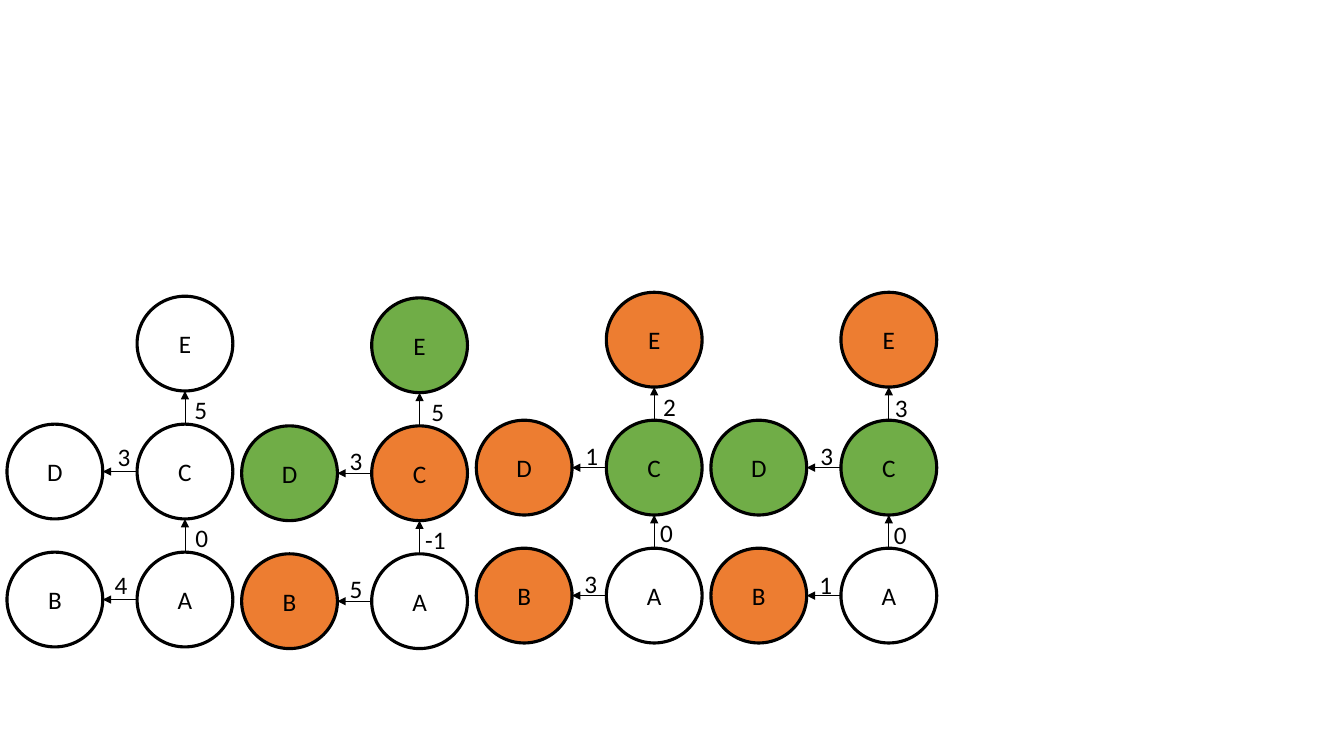
import pptx
import pptx.util
import pptx.dml.color
import pptx.enum.shapes
import pptx.enum.text
import pptx.oxml
import pptx.oxml.ns

Pt = pptx.util.Pt

COLORS = {"white": "FFFFFF", "black": "000000", "green": "70AD47", "orange": "ED7D31"}

# Grid: node sizes and steps in points
NODE_W, NODE_H = 68.4, 67.7
COL_STEP, ROW_STEP = 92.9, 91.4
TREE_LEFT, TREE_STEP = 5, 167.6
CELLS = {"E": (1, 0), "D": (0, 1), "C": (1, 1), "A": (1, 2), "B": (0, 2)}  # column, row
EDGES = ["CE", "AC", "AB", "CD"]

# Each tree: top, node fills (white if not named), edge labels as (text, left, top)
TREES = [
    (211.6, {},
     {"AC": ("0", 132.5, 369.4), "CE": ("5", 131.8, 277.9),
      "CD": ("3", 77, 311.8), "AB": ("4", 74.9, 403.2)}),
    (212.8, {"E": "green", "D": "green", "C": "orange", "B": "orange"},
     {"AC": ("-1", 296.6, 370.8), "CE": ("5", 301, 279.4),
      "CD": ("3", 242.6, 314.6), "AB": ("5", 242.6, 406.1)}),
    (208.8, {"E": "orange", "D": "orange", "C": "green", "B": "orange"},
     {"AC": ("0", 464.4, 365.8), "CE": ("2", 466.6, 275.8),
      "CD": ("1", 411.1, 311), "AB": ("3", 410.4, 402.5)}),
    (208.8, {"E": "orange", "D": "green", "C": "green", "B": "orange"},
     {"AC": ("0", 631.4, 367.2), "CE": ("3", 632.2, 276.5),
      "CD": ("3", 578.9, 311), "AB": ("1", 578.2, 403.2)}),
]


def rgb(name):
    return pptx.dml.color.RGBColor.from_string(COLORS[name])


def write(tf, text, font="Calibri", size=18, color="black", align="LEFT"):
    p = tf.paragraphs[0]
    p.alignment = getattr(pptx.enum.text.PP_ALIGN, align)
    r = p.add_run()
    r.text = text
    r.font.name = font
    r.font.size = Pt(size)
    r.font.color.rgb = rgb(color)


class Canvas:
    outline, arrow_width = 2.25, 0.5

    def __init__(self, slide):
        self.s = slide

    def node(self, text, x, y, fill):
        sp = self.s.shapes.add_shape(pptx.enum.shapes.MSO_SHAPE.OVAL,
                                     Pt(x), Pt(y), Pt(NODE_W), Pt(NODE_H))
        sp.shadow.inherit = False
        sp.fill.solid()
        sp.fill.fore_color.rgb = rgb(fill)
        sp.line.color.rgb = rgb("black")
        sp.line.width = Pt(self.outline)
        sp.text_frame.vertical_anchor = pptx.enum.text.MSO_ANCHOR.MIDDLE
        write(sp.text_frame, text, align="CENTER")

    def arrow(self, x1, y1, x2, y2):
        cx = self.s.shapes.add_connector(pptx.enum.shapes.MSO_CONNECTOR.STRAIGHT,
                                         Pt(x1), Pt(y1), Pt(x2), Pt(y2))
        cx.line.color.rgb = rgb("black")
        cx.line.width = Pt(self.arrow_width)
        ln = cx.line._get_or_add_ln()
        ln.append(pptx.oxml.parse_xml(
            '<a:tailEnd %s type="triangle"/>' % pptx.oxml.ns.nsdecls("a")))
        cx._element.spPr.append(pptx.oxml.parse_xml(
            "<a:effectLst %s/>" % pptx.oxml.ns.nsdecls("a")))

    def label(self, text, x, y):
        width = 23.8 if len(text) == 1 else 29.5
        sp = self.s.shapes.add_textbox(Pt(x), Pt(y), Pt(width), Pt(29.1))
        tf = sp.text_frame
        tf.word_wrap = False
        tf.auto_size = pptx.enum.text.MSO_AUTO_SIZE.SHAPE_TO_FIT_TEXT
        write(tf, text)


def main():
    prs = pptx.Presentation()
    prs.slide_width, prs.slide_height = Pt(960), Pt(540)
    canvas = Canvas(prs.slides.add_slide(prs.slide_layouts[6]))

    # Nodes and arrows of each tree
    for i, (top, fills, _) in enumerate(TREES):
        left = TREE_LEFT + i * TREE_STEP
        spots = {name: (left + col * COL_STEP, top + row * ROW_STEP)
                 for name, (col, row) in CELLS.items()}
        for name, (x, y) in spots.items():
            canvas.node(name, x, y, fills.get(name, "white"))
        for start, end in EDGES:
            (x1, y1), (x2, y2) = spots[start], spots[end]
            if x1 == x2:  # upward
                mid = x1 + NODE_W / 2
                canvas.arrow(mid, y1, mid, y2 + NODE_H)
            else:  # to the left
                mid = y1 + NODE_H / 2
                canvas.arrow(x1, mid, x2 + NODE_W, mid)

    # Edge labels in front
    for _, _, labels in TREES:
        for text, x, y in labels.values():
            canvas.label(text, x, y)

    prs.save("out.pptx")


if __name__ == "__main__":
    main()
